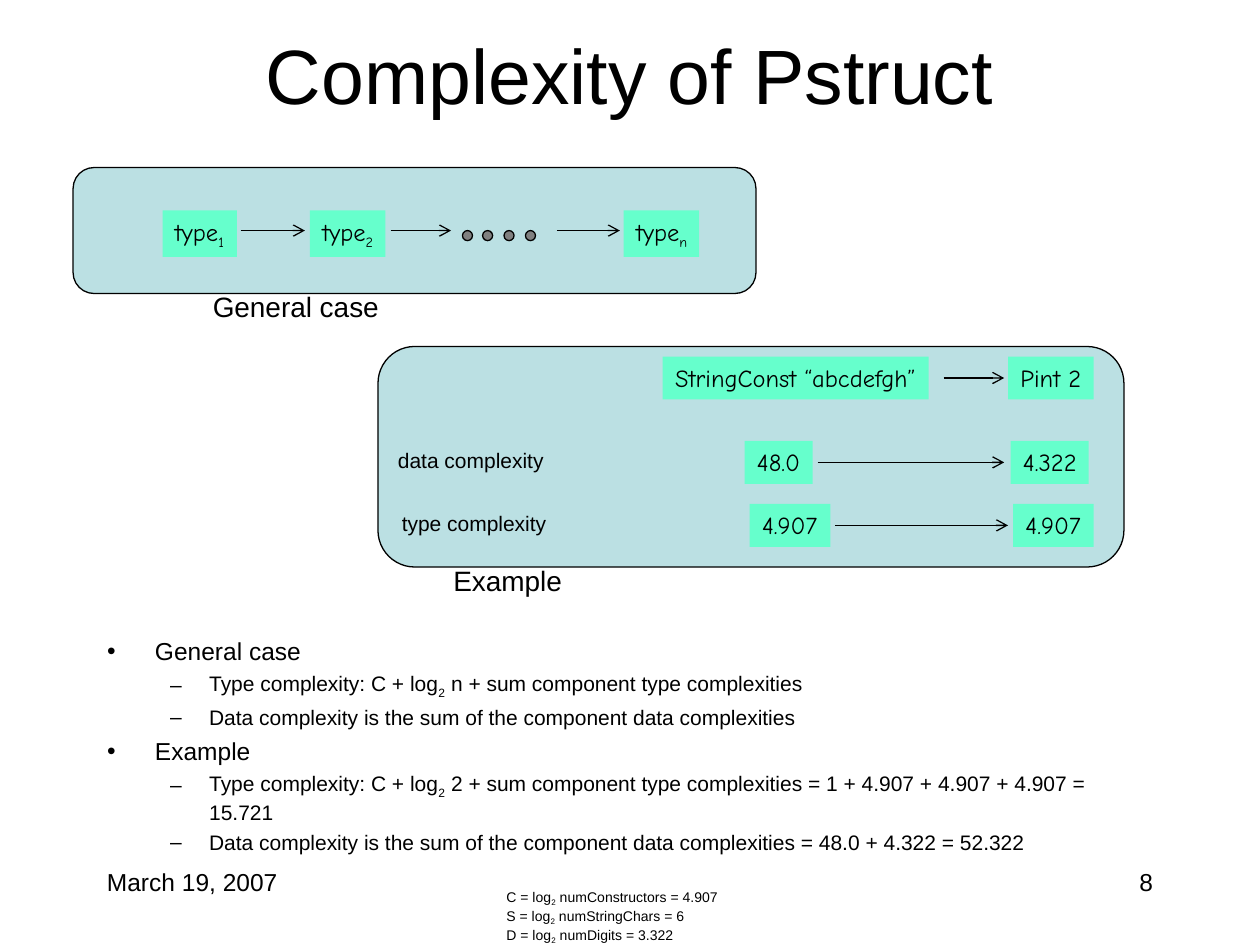
from dataclasses import dataclass

from lxml import etree
from pptx import Presentation
from pptx.dml.color import RGBColor
from pptx.enum.shapes import MSO_CONNECTOR, MSO_SHAPE
from pptx.enum.text import MSO_ANCHOR, MSO_AUTO_SIZE, PP_ALIGN
from pptx.oxml.ns import qn
from pptx.util import Pt

RECTANGLE = MSO_SHAPE.RECTANGLE
ROUNDED = MSO_SHAPE.ROUNDED_RECTANGLE
OVAL = MSO_SHAPE.OVAL
STRAIGHT = MSO_CONNECTOR.STRAIGHT
LEFT, CENTER, RIGHT = PP_ALIGN.LEFT, PP_ALIGN.CENTER, PP_ALIGN.RIGHT
TOP, MIDDLE = MSO_ANCHOR.TOP, MSO_ANCHOR.MIDDLE
FIXED, GROW = MSO_AUTO_SIZE.NONE, MSO_AUTO_SIZE.SHAPE_TO_FIT_TEXT

PX = 9144  # EMU per px, at 100 px to the inch


@dataclass(frozen=True)
class Theme:
    ink: RGBColor = RGBColor(0, 0, 0)
    panel: RGBColor = RGBColor(0xBB, 0xE0, 0xE3)
    chip: RGBColor = RGBColor(0x66, 0xFF, 0xCC)
    dot: RGBColor = RGBColor(0x80, 0x80, 0x80)
    font: str = "Arial"
    chip_font: str = "Comic Neue"
    title: int = 44
    caption: int = 16
    body: int = 14
    detail: int = 12
    note: int = 8
    line: float = 0.75


THEME = Theme()


def px(*lengths):
    return [length * PX for length in lengths]


def write(paragraph, text, size, font=THEME.font, align=LEFT):
    """Write text in which every second part between bars is a subscript."""
    paragraph.alignment = align
    for index, part in enumerate(text.split("|")):
        run = paragraph.add_run()
        run.text = part
        run.font.size = Pt(size)
        run.font.name = font
        run.font.color.rgb = THEME.ink
        if index % 2:
            run.font._element.set("baseline", "-25000")


def add_figure(slide, kind, box, fill, outlined=True):
    shape = slide.shapes.add_shape(kind, *px(*box))
    shape.shadow.inherit = False
    shape.fill.solid()
    shape.fill.fore_color.rgb = fill
    if outlined:
        shape.line.color.rgb = THEME.ink
        shape.line.width = Pt(THEME.line)
    else:
        shape.line.fill.background()
    return shape


def add_chip(slide, text, left, top, width, height=34):
    frame = add_figure(slide, RECTANGLE, (left, top, width, height),
                       THEME.chip, outlined=False).text_frame
    # A narrow right margin leaves room to keep the label on one line
    frame.margin_right = 2 * PX
    frame.word_wrap = True
    frame.auto_size = FIXED
    frame.vertical_anchor = TOP
    write(frame.paragraphs[0], text, THEME.body, THEME.chip_font)


def add_label(slide, lines, box, size, align=LEFT, wrap=False):
    frame = slide.shapes.add_textbox(*px(*box)).text_frame
    frame.word_wrap = wrap
    frame.auto_size = FIXED if wrap else GROW
    for index, line in enumerate(lines):
        paragraph = frame.add_paragraph() if index else frame.paragraphs[0]
        write(paragraph, line, size, align=align)


def add_arrow(slide, start, end, y):
    arrow = slide.shapes.add_connector(STRAIGHT, *px(start, y, end, y))
    arrow.line.color.rgb = THEME.ink
    arrow.line.width = Pt(THEME.line)
    etree.SubElement(arrow.line._get_or_add_ln(), qn("a:tailEnd"), type="arrow")
    etree.SubElement(arrow._element.spPr, qn("a:effectLst"))


def place_placeholder(shape, box):
    shape.left, shape.top, shape.width, shape.height = px(*box)
    frame = shape.text_frame
    frame.word_wrap = True
    frame.auto_size = FIXED
    return frame


def add_title(slide, text, box):
    frame = place_placeholder(slide.shapes.title, box)
    frame.vertical_anchor = MIDDLE
    write(frame.paragraphs[0], text, THEME.title, align=CENTER)


def add_general_case(slide, box):
    left, top, width, height = box
    add_figure(slide, ROUNDED, box, THEME.panel)
    for text, x, chip_width in (("type|1", 71, 59), ("type|2", 188, 60),
                                ("type|n", 437, 60)):
        add_chip(slide, text, left + x, top + 34, chip_width, 37)
    for start, end in ((133, 184), (252, 300), (384, 434)):
        add_arrow(slide, left + start, left + end, top + height // 2)
    # Dots for the types left out
    for index in range(4):
        x = left + 309 + index * 50 // 3
        add_figure(slide, OVAL, (x, top + 50, 8, 8), THEME.dot)
    add_label(slide, ["General case"], (left + 101, top + 92, 152, 37),
              THEME.caption)


def add_example(slide, box):
    left, top, width, height = box
    add_figure(slide, ROUNDED, box, THEME.panel)
    # Row: y, label (x, width), first chip, arrow (start, end), second chip
    rows = (
        (8, None, ("StringConst “abcdefgh”", 226, 211), (449, 497),
         ("Pint 2", 500, 68)),
        (75, ("data complexity", 6, 136), ("48.0", 291, 54), (349, 497),
         ("4.322", 502, 62)),
        (125, ("type complexity", 9, 135), ("4.907", 295, 64), (363, 500),
         ("4.907", 504, 64)),
    )
    for y, label, first, (start, end), second in rows:
        for text, x, chip_width in (first, second):
            add_chip(slide, text, left + x, top + y, chip_width)
        add_arrow(slide, left + start, left + end, top + y + 17)
        if label:
            text, x, label_width = label
            add_label(slide, [text], (left + x, top + y, label_width, 30),
                      THEME.detail)
    add_label(slide, ["Example"], (left + 50, top + 167, 106, 37),
              THEME.caption)


def add_bullets(slide, items, box):
    frame = place_placeholder(slide.placeholders[1], box)
    # Level: size, bullet, left margin, hanging indent, space before
    styles = ((THEME.body, "•", 38, 38, 3.5), (THEME.detail, "–", 81, 31, 3))
    for index, (level, text) in enumerate(items):
        size, bullet, margin, hang, space = styles[level]
        paragraph = frame.add_paragraph() if index else frame.paragraphs[0]
        paragraph.level = level
        paragraph.space_before = Pt(space)
        write(paragraph, text, size)
        properties = paragraph._p.get_or_add_pPr()
        properties.set("marL", str(margin * PX))
        properties.set("indent", str(-hang * PX))
        etree.SubElement(properties, qn("a:buChar"), char=bullet)


def add_footer(slide, box):
    left, top, width, height = box
    add_label(slide, ["C = log|2| numConstructors = 4.907",
                      "S = log|2| numStringChars = 6",
                      "D = log|2| numDigits = 3.322"],
              (left + 317, top + 17, 188, 56), THEME.note)
    add_label(slide, ["8"], (left + width - 208, top, 208, height),
              THEME.body, RIGHT, wrap=True)
    add_label(slide, ["March 19, 2007"], (left, top, 208, height),
              THEME.body, wrap=True)


def main():
    presentation = Presentation()
    presentation.slide_width, presentation.slide_height = px(1000, 750)
    slide = presentation.slides.add_slide(presentation.slide_layouts[1])
    add_title(slide, "Complexity of Pstruct", (75, 25, 850, 67))
    add_general_case(slide, (58, 133, 542, 100))
    add_example(slide, (300, 275, 592, 175))
    add_bullets(slide, (
        (0, "General case"),
        (1, "Type complexity: C + log|2| n + sum component type complexities"),
        (1, "Data complexity is the sum of the component data complexities"),
        (0, "Example"),
        (1, "Type complexity: C + log|2| 2 + sum component type complexities"
            " = 1 + 4.907 + 4.907 + 4.907 = 15.721"),
        (1, "Data complexity is the sum of the component data complexities"
            " = 48.0 + 4.322 = 52.322"),
    ), (75, 500, 850, 217))
    add_footer(slide, (75, 683, 850, 50))
    presentation.save("out.pptx")


if __name__ == "__main__":
    main()
